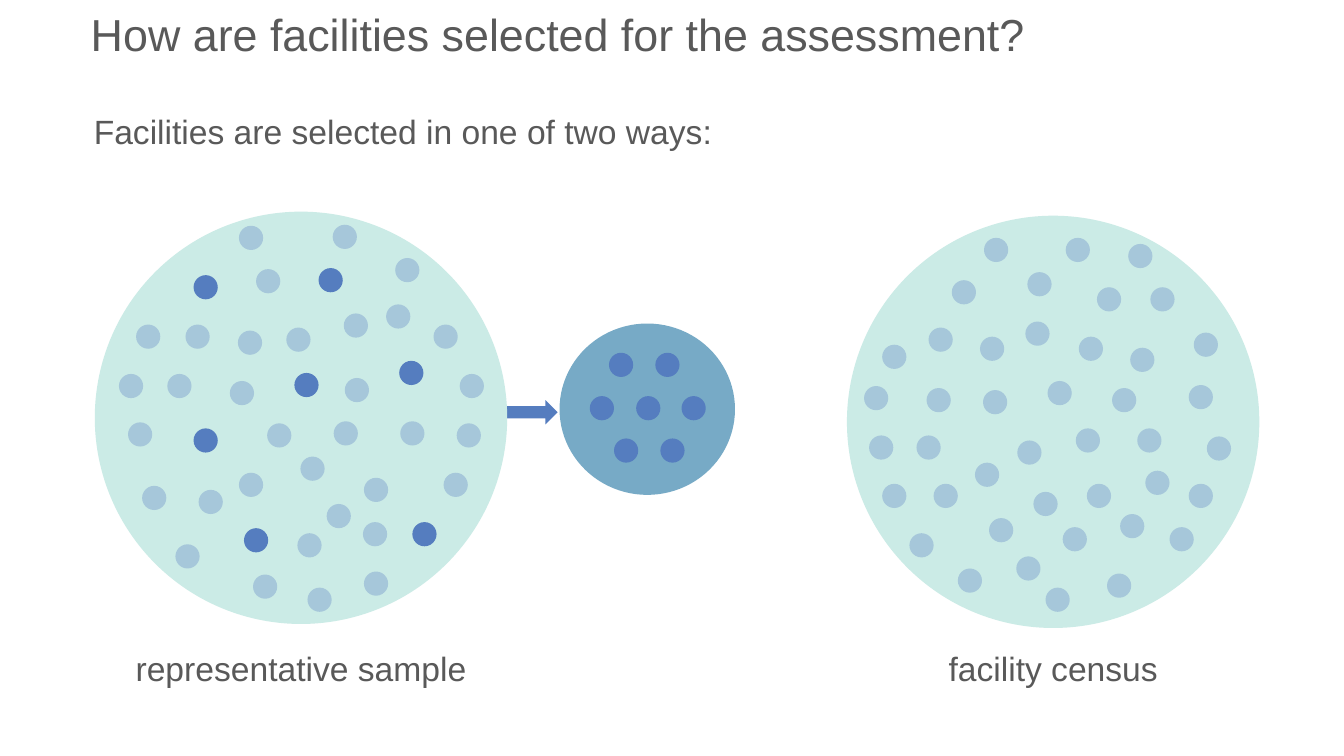
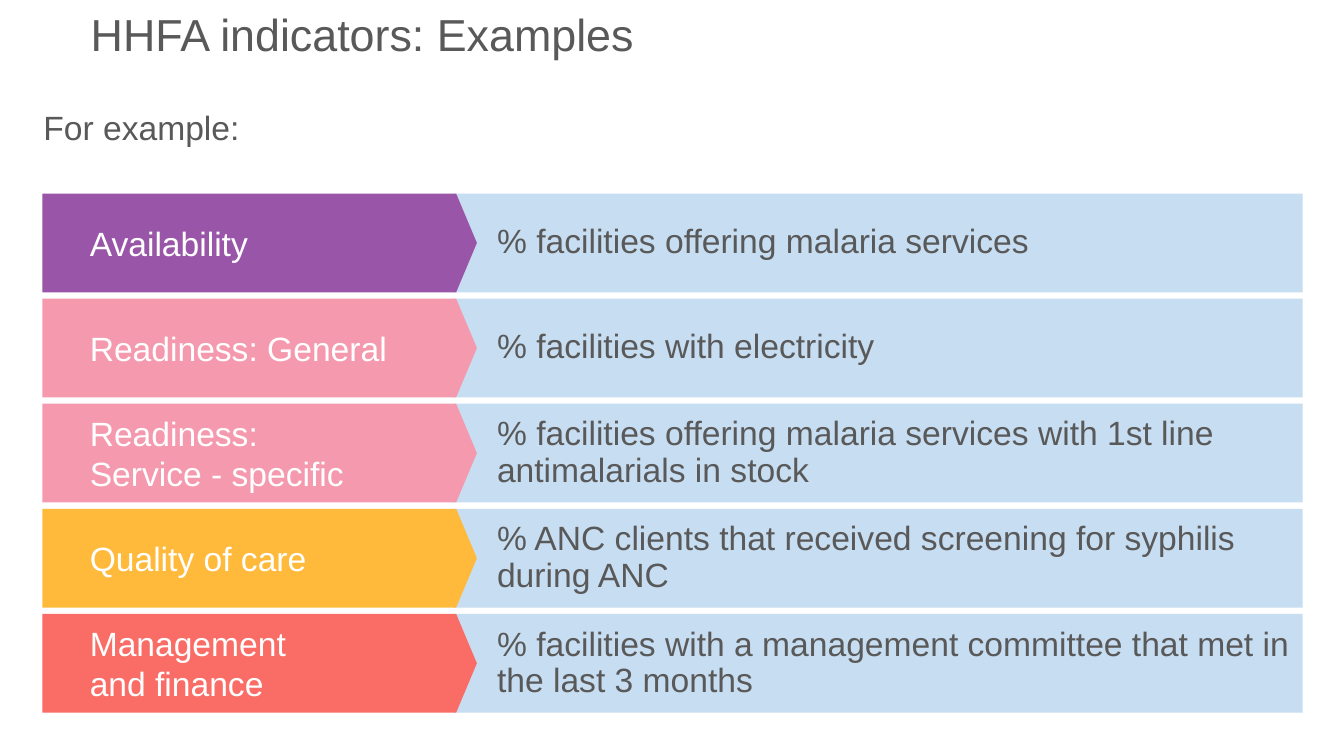
from lxml import etree
from pptx import Presentation
from pptx.dml.color import RGBColor
from pptx.enum.shapes import MSO_SHAPE as Shape
from pptx.enum.text import MSO_ANCHOR as Anchor, MSO_AUTO_SIZE as AutoSize, PP_ALIGN as Align
from pptx.oxml.ns import qn
from pptx.util import Inches, Pt

# Shared look: every length counts cells of a fine grid
CELL = 0.01
COLUMNS, ROWS = 1333, 750
FONT = "Arial"
TITLE_SIZE, TEXT_SIZE = 32, 24
TIGHT = 0.9
COLORS = {
    "text": "595959", "white": "FFFFFF",
    "population": "CBEBE6", "facility": "A6C7DA",
    "sample": "77AAC6", "selected": "557DBF",
    "example": "C7DDF1", "availability": "9955A7", "readiness": "F59AAE",
    "quality": "FFBA3C", "management": "FA6C66",
}

# Sampling slide: discs (left, top, width, height), dots (left, top)
DOT = 24
DISC = 409
SAMPLE_LEFT, SAMPLE_TOP = 94, 210
CENSUS_LEFT, CENSUS_TOP = 840, 214
LABEL_TOP, LABEL_WIDTH, LABEL_HEIGHT = 624, 445, 83
UNSELECTED_DOTS = [
    (237, 224), (330, 223), (392, 256), (254, 267), (383, 302), (341, 311),
    (135, 322), (184, 322), (236, 328), (284, 325), (430, 322), (118, 371),
    (166, 371), (228, 378), (342, 375), (456, 371), (127, 419), (265, 420),
    (331, 418), (397, 418), (453, 420), (298, 453), (237, 469), (440, 469),
    (361, 474), (141, 482), (197, 486), (324, 500), (360, 518), (295, 529),
    (174, 540), (251, 570), (361, 567), (305, 583),
]
SELECTED_DOTS = [
    (192, 273), (316, 266), (396, 358), (292, 370), (192, 425), (242, 524),
    (409, 518),
]
SAMPLE_DOTS = [
    (604, 350), (650, 350), (585, 393), (631, 393), (676, 393), (609, 435),
    (655, 435),
]
CENSUS_DOTS = [
    (976, 236), (1057, 236), (1119, 242), (1019, 270), (944, 278), (1088, 285),
    (1141, 285), (1017, 319), (921, 325), (1184, 330), (972, 334), (1070, 334),
    (875, 342), (1121, 345), (1039, 378), (1179, 382), (857, 383), (919, 385),
    (1103, 385), (975, 387), (1067, 425), (1128, 425), (862, 432), (909, 432),
    (1197, 433), (1009, 437), (967, 459), (1136, 467), (875, 480), (926, 480),
    (1078, 480), (1179, 480), (1025, 488), (1111, 510), (981, 514), (1054, 523),
    (1160, 523), (902, 529), (1008, 552), (950, 564), (1098, 569), (1037, 583),
]

# Indicator slide
ROW_TOP, ROW_PITCH, ROW_HEIGHT = 192, 104.25, 98
INDICATORS = [
    (["Availability"], "availability", "% facilities offering malaria services"),
    (["Readiness: General"], "readiness", "% facilities with electricity"),
    (["Readiness:", "Service - specific"], "readiness",
     "% facilities offering malaria services with 1st line antimalarials in stock"),
    (["Quality of care"], "quality",
     "% ANC clients that received screening for syphilis during ANC"),
    (["Management", "and finance"], "management",
     "% facilities with a management committee that met in the last 3 months"),
]


def cells(*counts):
    return [Inches(count * CELL) for count in counts]


def write(box, lines, size=TEXT_SIZE, color="text", align=Align.LEFT,
          spacing=1.0, anchor=Anchor.TOP, indent=10, inset=5):
    frame = box.text_frame
    frame.word_wrap = True
    frame.auto_size = AutoSize.NONE
    frame.vertical_anchor = anchor
    frame.margin_left, frame.margin_right = cells(indent, 10)
    frame.margin_top, frame.margin_bottom = cells(inset, inset)
    for index, line in enumerate(lines):
        para = frame.add_paragraph() if index else frame.paragraphs[0]
        para.text = line
        para.alignment = align
        para.line_spacing = spacing
        para.space_before = Pt(0)
        para.font.name = FONT
        para.font.size = Pt(size)
        para.font.color.rgb = RGBColor.from_string(COLORS[color])


def place(box, left, top, width, height):
    box.left, box.top, box.width, box.height = cells(left, top, width, height)


def add_page(deck, title, lead, lead_left, lead_top, lead_width):
    """Slide with a title and an unbulleted lead line."""
    page = deck.slides.add_slide(deck.slide_layouts[1])
    heading, body = page.placeholders
    place(heading, 80, 2, 1144, 64)
    write(heading, [title], TITLE_SIZE)
    place(body, lead_left, lead_top, lead_width, 47)
    write(body, [lead], spacing=TIGHT)
    properties = body.text_frame.paragraphs[0]._p.get_or_add_pPr()
    properties.set("marL", "0")
    properties.set("indent", "0")
    etree.SubElement(properties, qn("a:buNone"))
    return page


def add_figure(shapes, kind, color, left, top, width, height):
    figure = shapes.add_shape(kind, *cells(left, top, width, height))
    figure.shadow.inherit = False
    figure.fill.solid()
    figure.fill.fore_color.rgb = RGBColor.from_string(COLORS[color])
    figure.line.fill.background()
    return figure


def add_dots(shapes, color, spots):
    for left, top in spots:
        add_figure(shapes, Shape.OVAL, color, left, top, DOT, DOT)


def add_population(page, left, top, label, dots):
    """Large disc with grouped facility dots and a label centred below."""
    add_figure(page.shapes, Shape.OVAL, "population", left, top, DISC, DISC)
    group = page.shapes.add_group_shape()
    for color, spots in dots.items():
        add_dots(group.shapes, color, spots)
    label_left = left + (DISC - LABEL_WIDTH) / 2
    box = page.shapes.add_textbox(
        *cells(label_left, LABEL_TOP, LABEL_WIDTH, LABEL_HEIGHT))
    write(box, [label], align=Align.CENTER, spacing=TIGHT,
          anchor=Anchor.MIDDLE, inset=10)


def add_indicator(page, top, names, color, example):
    """Example bar with a pointed category tag over its left end."""
    bar = add_figure(page.shapes, Shape.RECTANGLE, "example",
                     450, top, 842, ROW_HEIGHT)
    write(bar, [example], spacing=TIGHT, anchor=Anchor.MIDDLE, indent=43)
    tag = add_figure(page.shapes, Shape.PENTAGON, color,
                     42, top, 431, ROW_HEIGHT)
    tag.adjustments[0] = 0.21
    write(tag, names, color="white", anchor=Anchor.MIDDLE, indent=47)


def build_sampling(deck):
    page = add_page(deck, "How are facilities selected for the assessment?",
                    "Facilities are selected in one of two ways:", 83, 110, 1057)
    add_figure(page.shapes, Shape.RIGHT_ARROW, "selected", 493, 397, 60, 24)
    add_population(page, SAMPLE_LEFT, SAMPLE_TOP, "representative sample",
                   {"facility": UNSELECTED_DOTS, "selected": SELECTED_DOTS})
    sample = page.shapes.add_group_shape()
    add_figure(sample.shapes, Shape.OVAL, "sample", 555, 321, 174, 170)
    add_dots(sample.shapes, "selected", SAMPLE_DOTS)
    add_population(page, CENSUS_LEFT, CENSUS_TOP, "facility census",
                   {"facility": CENSUS_DOTS})


def build_indicators(deck):
    page = add_page(deck, "HHFA indicators: Examples", "For example:",
                    33, 106, 543)
    for row, indicator in enumerate(INDICATORS):
        add_indicator(page, ROW_TOP + row * ROW_PITCH, *indicator)


def main():
    deck = Presentation()
    deck.slide_width, deck.slide_height = cells(COLUMNS, ROWS)
    build_sampling(deck)
    build_indicators(deck)
    deck.save("out.pptx")


if __name__ == "__main__":
    main()
